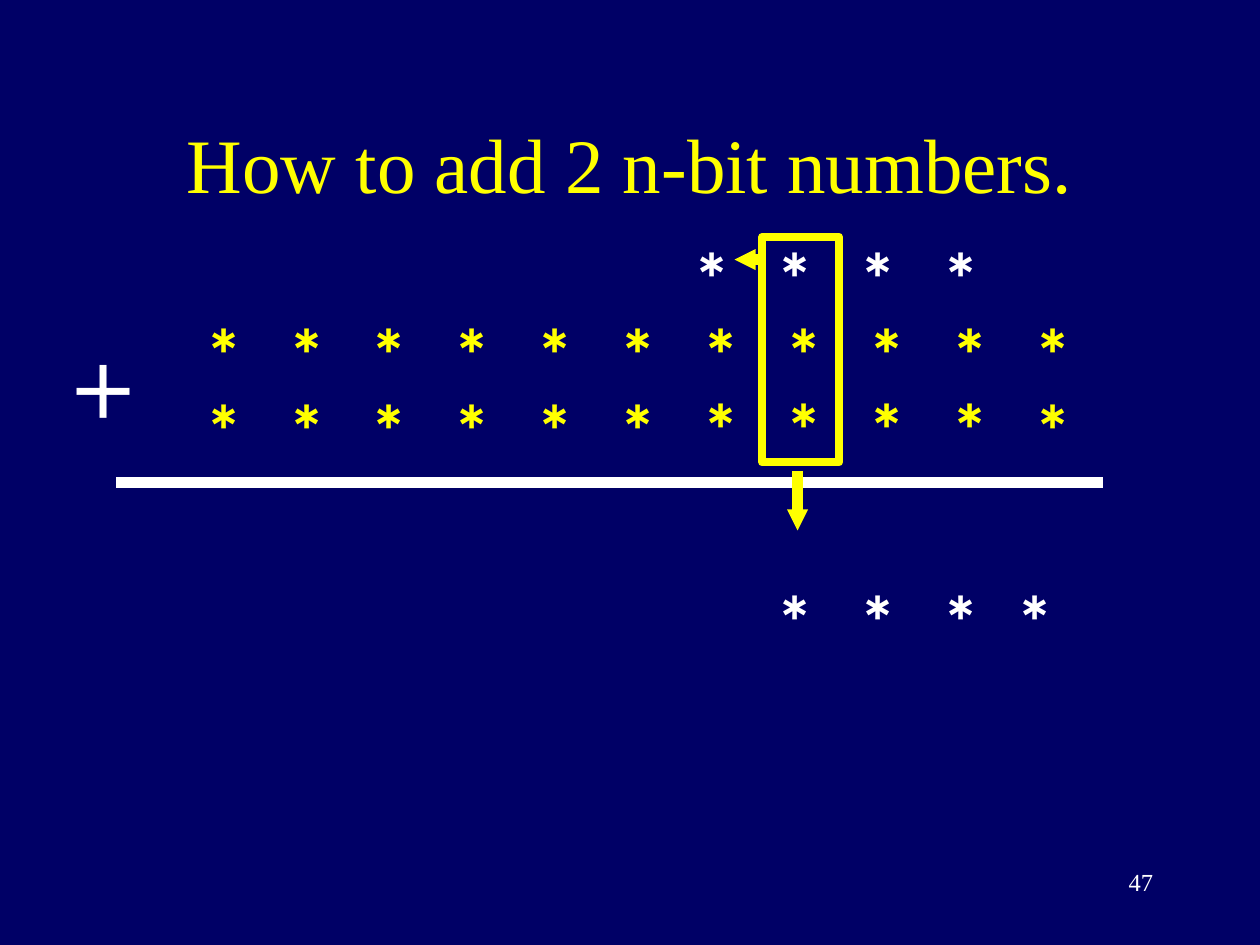
import pptx
import pptx.dml.color
import pptx.enum.shapes
import pptx.enum.text
import pptx.oxml
import pptx.oxml.ns
import pptx.util

Inches = pptx.util.Inches
Pt = pptx.util.Pt
RGBColor = pptx.dml.color.RGBColor
ALIGN = pptx.enum.text.PP_ALIGN
ANCHOR = pptx.enum.text.MSO_ANCHOR

NAVY = RGBColor(0x00, 0x00, 0x66)
YELLOW = RGBColor(0xFF, 0xFF, 0x00)
WHITE = RGBColor(0xFF, 0xFF, 0xFF)
SERIF = "Times New Roman"
SANS = "TeX Gyre Adventor"

# Digit columns
COLUMNS = 11
FIRST_LEFT, LAST_LEFT = 0.92, 7.5
COLUMN_TOP, COLUMN_WIDTH, COLUMN_HEIGHT = 1.83, 1.71, 4.02
ROW_PITCH = 0.6
NUDGE = 0.14  # indent step: each step less moves a centred star left
CARRY_COLUMNS = range(6, 10)
SUM_COLUMNS = range(7, 11)


class SlideBuilder:
    def __init__(self, presentation):
        self.slide = presentation.slides.add_slide(presentation.slide_layouts[5])
        self.slide.background.fill.solid()
        self.slide.background.fill.fore_color.rgb = NAVY

    def style(self, paragraph, size, font, color, align):
        paragraph.alignment = align
        for run in paragraph.runs:
            run.font.size = Pt(size)
            run.font.name = font
            run.font.color.rgb = color

    def title(self, text, left, top, width, height):
        shape = self.slide.shapes.title
        shape.left, shape.top = Inches(left), Inches(top)
        shape.width, shape.height = Inches(width), Inches(height)
        shape.text_frame.text = text
        shape.text_frame.vertical_anchor = ANCHOR.MIDDLE
        self.style(shape.text_frame.paragraphs[0], 44, SERIF, YELLOW, ALIGN.CENTER)

    def box(self, left, top, width, height, inset=0.1, anchor=ANCHOR.TOP):
        shape = self.slide.shapes.add_textbox(
            Inches(left), Inches(top), Inches(width), Inches(height))
        frame = shape.text_frame
        frame.word_wrap = True
        frame.vertical_anchor = anchor
        frame.margin_left = frame.margin_right = Inches(inset)
        return frame

    def label(self, text, place, size, font, align, **options):
        frame = self.box(*place, **options)
        frame.text = text
        self.style(frame.paragraphs[0], size, font, WHITE, align)

    def digit_column(self, index):
        left = FIRST_LEFT + index * (LAST_LEFT - FIRST_LEFT) / (COLUMNS - 1)
        frame = self.box(left, COLUMN_TOP, COLUMN_WIDTH, COLUMN_HEIGHT, inset=0.3)
        frame.margin_left = Inches(0.3 - 2 * NUDGE)

        # Colour, indent steps and space before of each star
        stars = [(YELLOW, 2, 0), (YELLOW, 2, 0)]
        if index in CARRY_COLUMNS:
            stars.insert(0, (WHITE, 1, 0))
        else:
            frame.margin_top = Inches(0.05 + ROW_PITCH)
        if index in SUM_COLUMNS:
            stars.append((WHITE, 0 if index == COLUMNS - 1 else 1, 66))

        frame.text = "\n".join("*" for _ in stars)
        for paragraph, (color, steps, space) in zip(frame.paragraphs, stars):
            properties = paragraph._p.get_or_add_pPr()
            properties.set("marL", str(Inches(steps * NUDGE)))
            if space:
                paragraph.space_before = Pt(space)
            self.style(paragraph, 36, SANS, color, ALIGN.CENTER)

    def line(self, start, end, color, arrow=False):
        connector = self.slide.shapes.add_connector(
            pptx.enum.shapes.MSO_CONNECTOR.STRAIGHT,
            *(Inches(value) for value in start + end))
        connector.line.color.rgb = color
        connector.line.width = Pt(6)
        if arrow:
            tail = pptx.oxml.parse_xml(
                '<a:tailEnd %s type="triangle" w="sm" len="sm"/>'
                % pptx.oxml.ns.nsdecls("a"))
            connector.line._get_or_add_ln().append(tail)
        connector._element.spPr.append(pptx.oxml.parse_xml(
            "<a:effectLst %s/>" % pptx.oxml.ns.nsdecls("a")))

    def frame(self, left, top, width, height):
        shape = self.slide.shapes.add_shape(
            pptx.enum.shapes.MSO_SHAPE.RECTANGLE,
            Inches(left), Inches(top), Inches(width), Inches(height))
        shape.shadow.inherit = False
        shape.fill.background()
        shape.line.color.rgb = YELLOW
        shape.line.width = Pt(4.5)


def main():
    presentation = pptx.Presentation()
    presentation.slide_width = Inches(10)
    presentation.slide_height = Inches(7.5)
    builder = SlideBuilder(presentation)

    builder.title("How to add 2 n-bit numbers.", 0.75, 0.67, 8.5, 1.25)

    # Addition: carries, two numbers and sum
    for index in range(COLUMNS):
        builder.digit_column(index)
    builder.line((8.75, 3.83), (0.92, 3.83), WHITE)
    builder.label("+", (0.25, 2.5, 0.75, 1), 54, SANS, ALIGN.CENTER,
                  inset=0.3, anchor=ANCHOR.MIDDLE)

    # Current column, with its sum going down and its carry going left
    builder.line((6.33, 3.74), (6.33, 4.21), YELLOW, arrow=True)
    builder.frame(6.05, 1.88, 0.61, 1.79)
    builder.line((6.04, 2.06), (5.83, 2.06), YELLOW, arrow=True)

    # Slide number
    builder.label("47", (7.17, 6.83, 2.08, 0.5), 14, SERIF, ALIGN.RIGHT)

    presentation.save("out.pptx")


if __name__ == "__main__":
    main()
